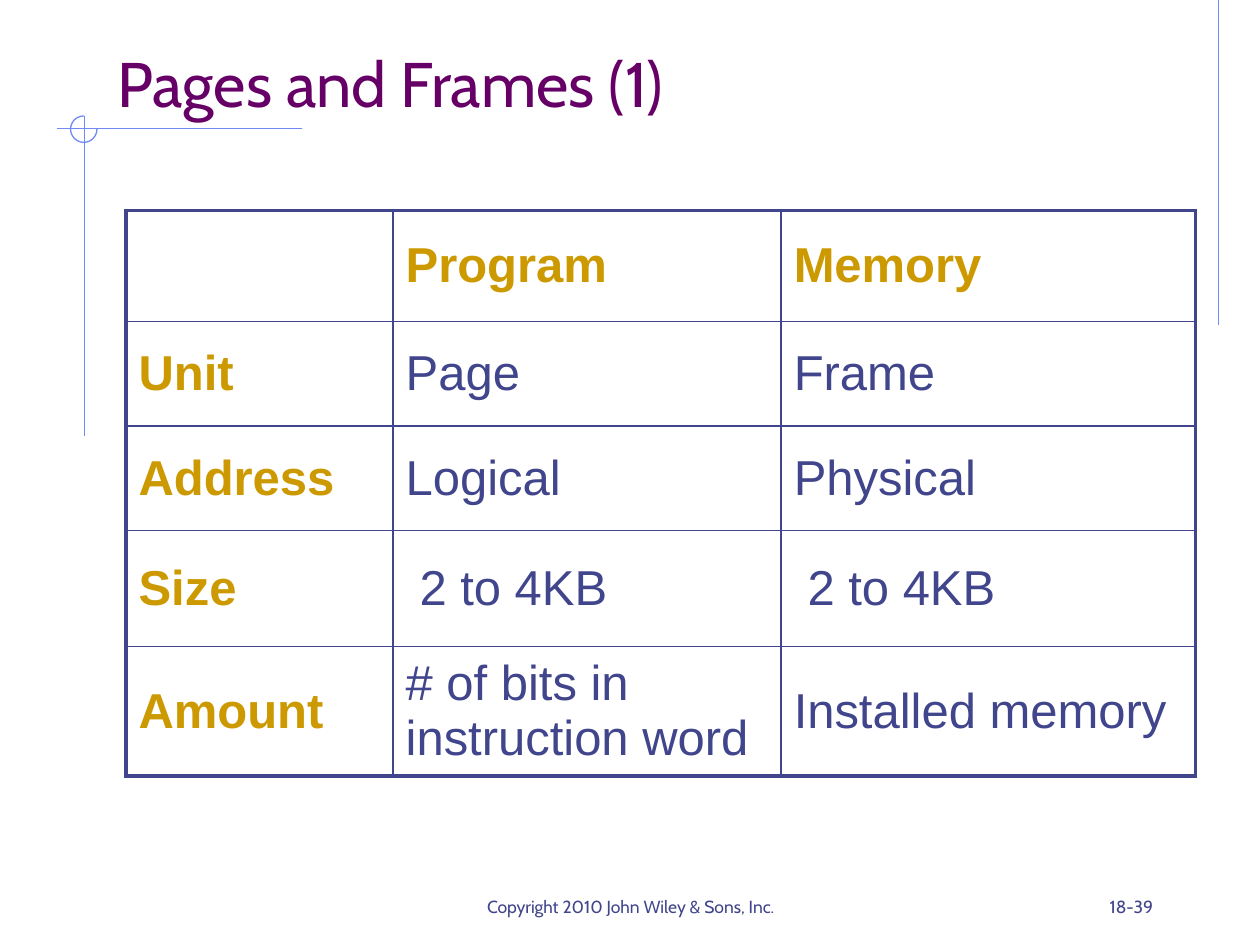
"""Build the Pages and Frames comparison slide."""
from lxml import etree
from pptx import Presentation
from pptx.dml.color import RGBColor
from pptx.enum.shapes import MSO_CONNECTOR, MSO_SHAPE
from pptx.enum.text import MSO_ANCHOR, PP_ALIGN
from pptx.oxml.ns import qn
from pptx.util import Inches, Pt

STRAIGHT = MSO_CONNECTOR.STRAIGHT
ARC = MSO_SHAPE.ARC
MIDDLE, BOTTOM = MSO_ANCHOR.MIDDLE, MSO_ANCHOR.BOTTOM
LEFT, CENTER, RIGHT = PP_ALIGN.LEFT, PP_ALIGN.CENTER, PP_ALIGN.RIGHT

COLORS = {"title": "660066", "body": "40458C", "heading": "CC9900", "rule": "6F89F7"}
HEADING_FONT, TABLE_FONT = "Cabin", "Arial"
OUTER, INNER = 2.25, 1
COLUMNS = [2.12, 3.08, 3.29]
ROWS = [0.88, 0.83, 0.83, 0.92, 1.03]
CELLS = [
    ["", "Program", "Memory"],
    ["Unit", "Page", "Frame"],
    ["Address", "Logical", "Physical"],
    ["Size", "2 to 4KB", "2 to 4KB"],
    ["Amount", "# of bits in instruction word", "Installed memory"],
]
INDENTED_ROW = 3
RULES = [(9.67, 0, 9.67, 2.58), (2.4, 1.02, 0.45, 1.02), (0.67, 0.92, 0.67, 3.46)]


class SlideBuilder:
    def __init__(self, page):
        self.page = page

    def style(self, para, size, font, color, bold=False, align=LEFT):
        para.alignment = align
        para.font.size = Pt(size)
        para.font.name = font
        para.font.bold = bold
        para.font.color.rgb = RGBColor.from_string(COLORS[color])

    def stroke(self, line):
        line.color.rgb = RGBColor.from_string(COLORS["rule"])
        line.width = Pt(0.75)

    def rule(self, *ends):
        connector = self.page.shapes.add_connector(STRAIGHT, *map(Inches, ends))
        self.stroke(connector.line)
        etree.SubElement(connector._element.spPr, qn("a:effectLst"))

    def arc(self, left, top, size, sweep):
        shape = self.page.shapes.add_shape(ARC, *map(Inches, (left, top, size, size)))
        shape.adjustments[0] = 0
        shape.adjustments[1] = sweep * 60000 / 100000
        shape.shadow.inherit = False
        shape.fill.background()
        self.stroke(shape.line)

    def title(self, text, left, top, width, height):
        box = self.page.shapes.title
        box.left, box.top, box.width, box.height = map(Inches, (left, top, width, height))
        box.text_frame.text = text
        box.text_frame.vertical_anchor = BOTTOM
        self.style(box.text_frame.paragraphs[0], 36, HEADING_FONT, "title")

    def footer(self, text, left, width, align):
        box = self.page.shapes.add_textbox(*map(Inches, (left, 7, width, 0.33)))
        frame = box.text_frame
        frame.word_wrap = True
        frame.vertical_anchor = BOTTOM
        frame.text = text
        self.style(frame.paragraphs[0], 10, HEADING_FONT, "body", align=align)

    def borders(self, cell, widths):
        properties = cell._tc.get_or_add_tcPr()
        for side, width in zip("LRTB", widths):
            line = etree.SubElement(properties, qn(f"a:ln{side}"), w=str(Pt(width)))
            fill = etree.SubElement(line, qn("a:solidFill"))
            etree.SubElement(fill, qn("a:srgbClr"), val=COLORS["body"])

    def table(self, left, top):
        size = (left, top, sum(COLUMNS), sum(ROWS))
        frame = self.page.shapes.add_table(len(ROWS), len(COLUMNS), *map(Inches, size))
        table = frame.table
        table.first_row = table.horz_banding = False
        for column, width in zip(table.columns, COLUMNS):
            column.width = Inches(width)
        for row, height in zip(table.rows, ROWS):
            row.height = Inches(height)
        last_row, last_column = len(ROWS) - 1, len(COLUMNS) - 1
        for r, texts in enumerate(CELLS):
            for c, text in enumerate(texts):
                cell = table.cell(r, c)
                edges = (c == 0, c == last_column, r == 0, r == last_row)
                self.borders(cell, [OUTER if edge else INNER for edge in edges])
                cell.fill.background()
                cell.vertical_anchor = MIDDLE
                cell.text = text
                if r == INDENTED_ROW and c > 0:
                    cell.margin_left = Inches(0.21)
                heading = r == 0 or c == 0
                color = "heading" if heading else "body"
                self.style(cell.text_frame.paragraphs[0], 28, TABLE_FONT, color, heading)


def main():
    deck = Presentation()
    deck.slide_width, deck.slide_height = Inches(10), Inches(7.5)
    builder = SlideBuilder(deck.slides.add_slide(deck.slide_layouts[5]))
    for ends in RULES:
        builder.rule(*ends)
    builder.arc(0.56, 0.92, 0.21, 270)
    builder.title("Pages and Frames (1)", 0.83, 0.3, 8.67, 0.7)
    builder.table(1, 1.67)
    builder.footer("18-39", 7.17, 2.08, RIGHT)
    builder.footer("Copyright 2010 John Wiley & Sons, Inc.", 3.42, 3.17, CENTER)
    deck.save("out.pptx")


if __name__ == "__main__":
    main()
